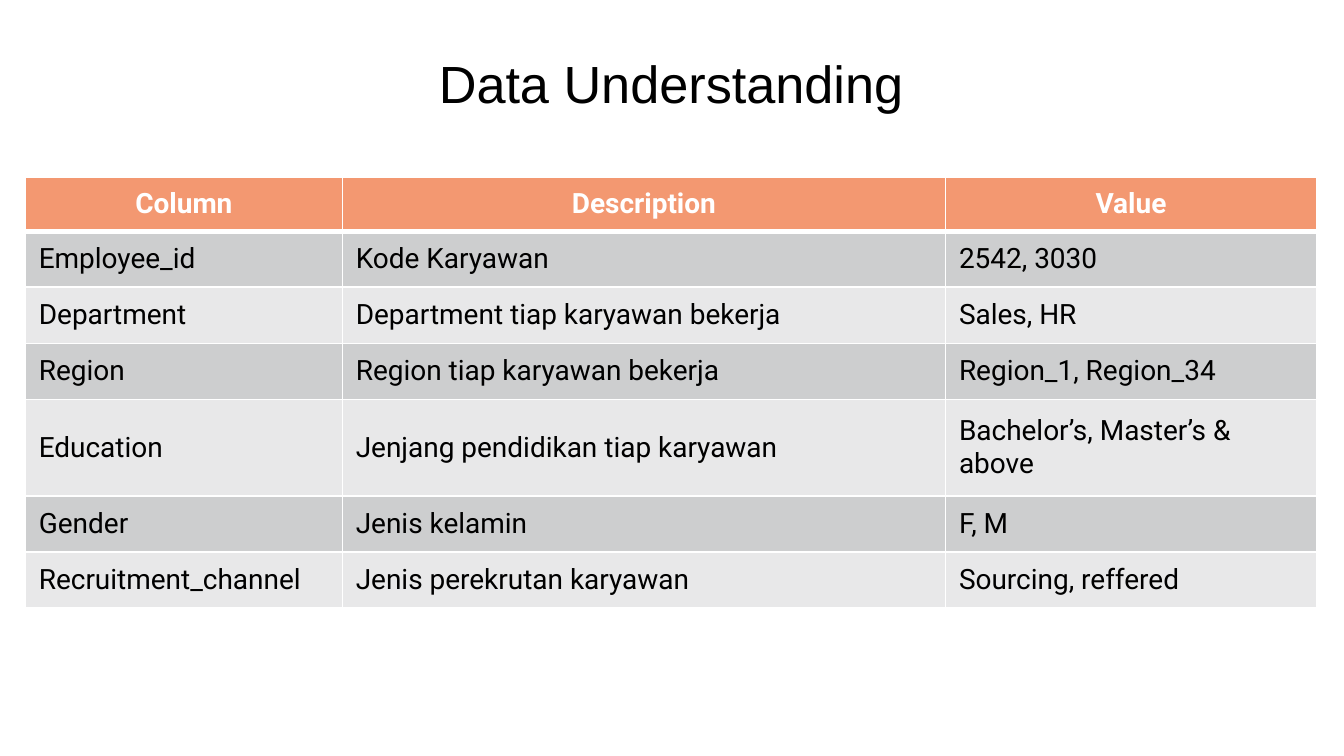
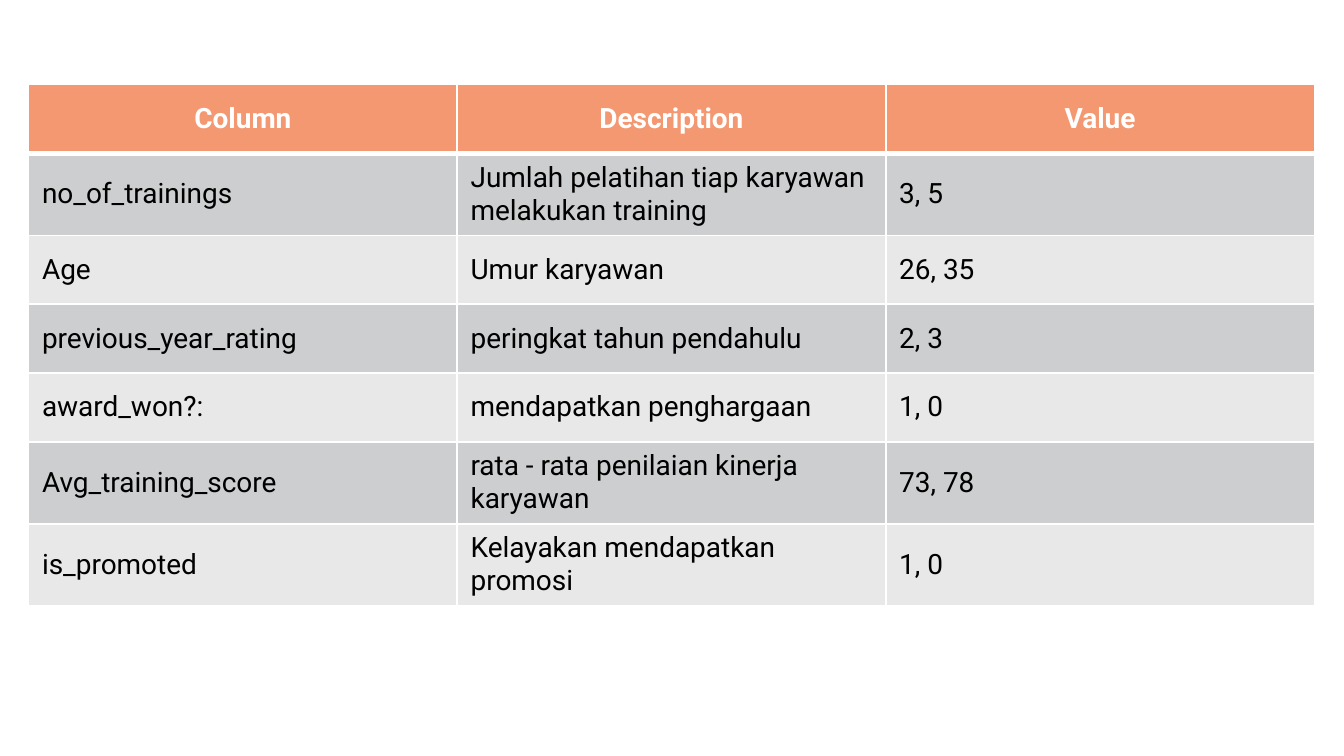
import pptx
import pptx.util
import pptx.dml.color
import pptx.enum.text
import pptx.oxml

Cm = pptx.util.Cm
Pt = pptx.util.Pt
RGB = pptx.dml.color.RGBColor.from_string
ALIGN = pptx.enum.text.PP_ALIGN
MIDDLE = pptx.enum.text.MSO_ANCHOR.MIDDLE
NS = "http://schemas.openxmlformats.org/drawingml/2006/main"

HUES = {
    "white": "FFFFFF",
    "black": "000000",
    "head": "F39871",
    "dark": "CDCECF",
    "light": "E8E8E9",
}
FONTS = {
    "title": {"name": "Arial", "size": Pt(28), "bold": False},
    "head": {"name": "Roboto", "size": Pt(15), "bold": True},
    "body": {"name": "Roboto", "size": Pt(15), "bold": False},
}
HEADS = ("Column", "Description", "Value")

PAGES = [
    {
        "title": "Data Understanding",
        "left": 0.48, "top": 3.35,
        "cols": [5.99, 11.4, 7.01],
        "rows": [1.02, 1.06, 1.06, 1.06, 1.82, 1.06, 1.06],
        "data": [
            ("Employee_id", "Kode Karyawan", "2542, 3030"),
            ("Department", "Department tiap karyawan bekerja", "Sales, HR"),
            ("Region", "Region tiap karyawan bekerja", "Region_1, Region_34"),
            ("Education", "Jenjang pendidikan tiap karyawan", "Bachelor’s, Master’s & above"),
            ("Gender", "Jenis kelamin", "F, M"),
            ("Recruitment_channel", "Jenis perekrutan karyawan", "Sourcing, reffered"),
        ],
    },
    {
        "title": None,
        "left": 0.54, "top": 1.6,
        "cols": [8.1] * 3,
        "rows": [1.3, 1.55, 1.3, 1.3, 1.3, 1.55, 1.55],
        "data": [
            ("no_of_trainings", "Jumlah pelatihan tiap karyawan melakukan training", "3, 5"),
            ("Age", "Umur karyawan", "26, 35"),
            ("previous_year_rating", "peringkat tahun pendahulu", "2, 3"),
            ("award_won?:", "mendapatkan penghargaan", "1, 0"),
            ("Avg_training_score", "rata - rata penilaian kinerja karyawan", "73, 78"),
            ("is_promoted", "Kelayakan mendapatkan promosi", "1, 0"),
        ],
    },
]


def write(frame, text, style, hue, align):
    para = frame.paragraphs[0]
    para.alignment = align
    run = para.add_run()
    run.text = text
    for key, value in FONTS[style].items():
        setattr(run.font, key, value)
    run.font.color.rgb = RGB(HUES[hue])


def edge(cell, row):
    props = cell._tc.get_or_add_tcPr()
    wide = {"T": 3 if row == 1 else 1, "B": 3 if row == 0 else 1}
    for side in "LRTB":
        props.append(pptx.oxml.parse_xml(
            f'<a:ln{side} xmlns:a="{NS}" w="{Pt(wide.get(side, 1))}">'
            f'<a:solidFill><a:srgbClr val="{HUES["white"]}"/></a:solidFill>'
            f'</a:ln{side}>'))


deck = pptx.Presentation()
deck.slide_width = Cm(25.4)
deck.slide_height = Cm(14.29)

for page in PAGES:
    slide = deck.slides.add_slide(deck.slide_layouts[5 if page["title"] else 6])
    slide.background.fill.solid()
    slide.background.fill.fore_color.rgb = RGB(HUES["white"])

    if page["title"]:
        title = slide.shapes.title
        place = {"left": 0.48, "top": 0.94, "width": 24.4, "height": 1.25}
        for key, value in place.items():
            setattr(title, key, Cm(value))
        frame = title.text_frame
        for side in ("left", "right", "top", "bottom"):
            setattr(frame, "margin_" + side, Cm(0.25))
        frame.vertical_anchor = MIDDLE
        write(frame, page["title"], "title", "black", ALIGN.CENTER)

    cols, rows = page["cols"], page["rows"]
    table = slide.shapes.add_table(
        len(rows), len(cols), Cm(page["left"]), Cm(page["top"]),
        Cm(sum(cols)), Cm(sum(rows))).table
    for col, width in zip(table.columns, cols):
        col.width = Cm(width)
    for row, height in zip(table.rows, rows):
        row.height = Cm(height)

    for r, line in enumerate([HEADS] + page["data"]):
        if r == 0:
            fill, look = "head", ("head", "white", ALIGN.CENTER)
        else:
            fill, look = ("dark" if r % 2 else "light"), ("body", "black", ALIGN.LEFT)
        for c, text in enumerate(line):
            cell = table.cell(r, c)
            cell.vertical_anchor = MIDDLE
            edge(cell, r)
            cell.fill.solid()
            cell.fill.fore_color.rgb = RGB(HUES[fill])
            write(cell.text_frame, text, *look)

deck.save("out.pptx")
